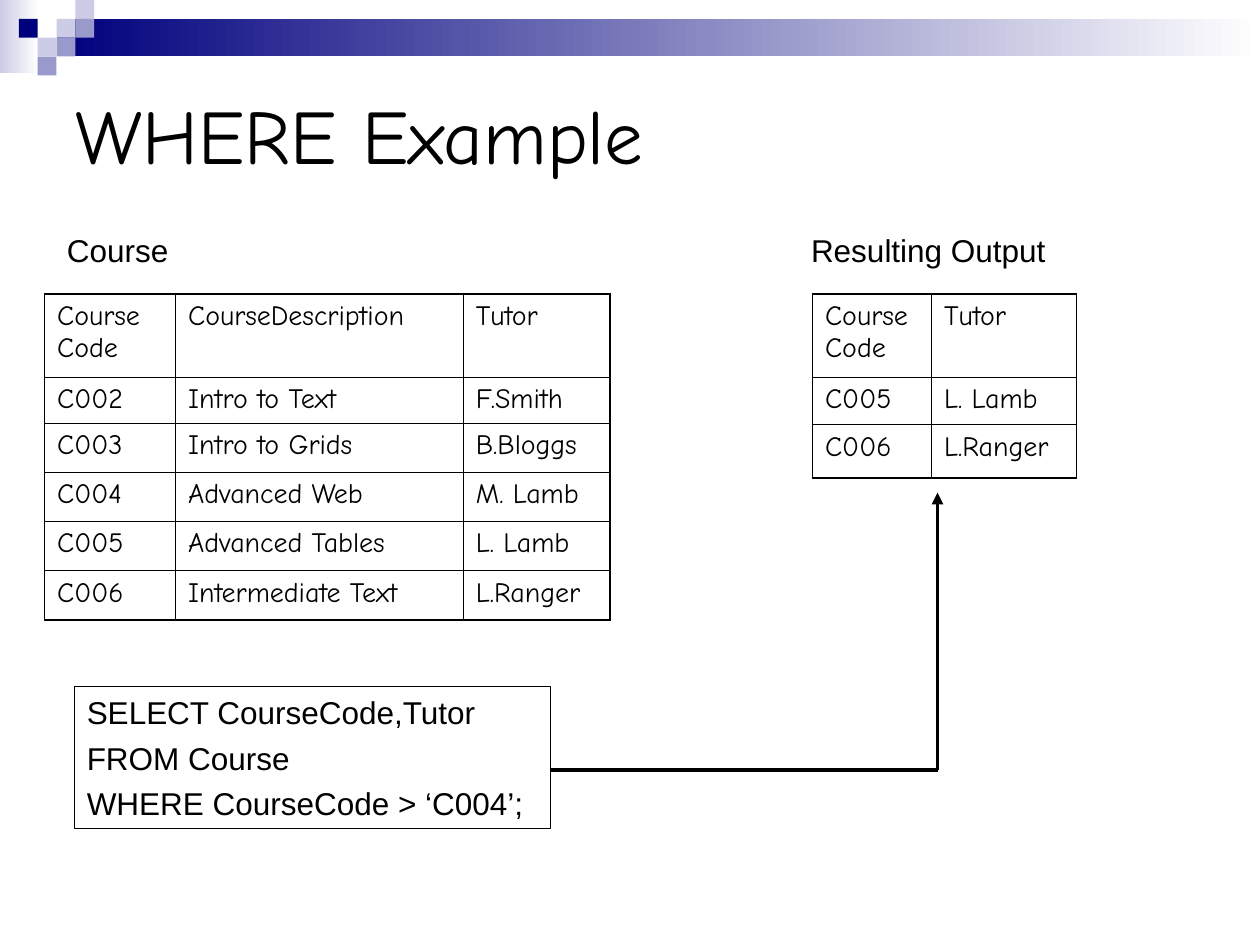
from lxml.etree import SubElement
from pptx import Presentation
from pptx.dml.color import RGBColor
from pptx.enum.shapes import MSO_CONNECTOR, MSO_SHAPE
from pptx.enum.text import MSO_ANCHOR, PP_ALIGN
from pptx.oxml import parse_xml
from pptx.oxml.ns import nsdecls, qn
from pptx.util import Cm, Pt

COLORS = {"ink": "000000", "navy": "00007D", "violet": "9999CC",
          "lilac": "CCCCE6", "white": "FFFFFF"}
HEADING_FONT = "Comic Neue"
BODY_FONT = "Arial"

TITLE = "WHERE Example"
LABELS = [("Course", 1.1), ("Resulting Output", 16.1)]
QUERY = ["SELECT CourseCode,Tutor", "FROM Course", "WHERE CourseCode > ‘C004’;"]
TABLES = [
    {"left": 0.9, "columns": [2.64, 5.8, 2.96],
     "heights": [1.68, 0.93, 0.99, 0.99, 0.99, 0.99],
     "rows": [("Course Code", "CourseDescription", "Tutor"),
              ("C002", "Intro to Text", "F.Smith"),
              ("C003", "Intro to Grids", "B.Bloggs"),
              ("C004", "Advanced Web", "M. Lamb"),
              ("C005", "Advanced Tables", "L. Lamb"),
              ("C006", "Intermediate Text", "L.Ranger")]},
    {"left": 16.38, "columns": [2.4, 2.92], "heights": [1.68, 0.96, 1.07],
     "rows": [("Course Code", "Tutor"), ("C005", "L. Lamb"), ("C006", "L.Ranger")]},
]
TABLE_TOP = 5.92

SQUARE = 0.38
BANDS = [("lilac", 0, 0, 0.79, 1.47), ("navy", 3 * SQUARE, SQUARE, 24.26, 2 * SQUARE)]
SQUARES = [("lilac", 3, 1), ("lilac", 4, 0), ("violet", 4, 1), ("lilac", 2, 2),
           ("navy", 1, 1), ("violet", 3, 2), ("violet", 2, 3)]

QUERY_BOX = (1.5, 13.84, 9.6, 2.87)
ARROW_POINTS = [(11.1, 15.52), (18.9, 15.52), (18.9, 9.93)]


def color(name):
    return RGBColor.from_string(COLORS[name])


def add_box(slide, left, top, width, height):
    shape = slide.shapes.add_shape(
        MSO_SHAPE.RECTANGLE, Cm(left), Cm(top), Cm(width), Cm(height))
    shape.shadow.inherit = False
    shape.line.fill.background()
    return shape


def write(text_frame, lines, font, size, space=0):
    text_frame.word_wrap = True
    for index, line in enumerate(lines):
        paragraph = text_frame.paragraphs[0] if index == 0 else text_frame.add_paragraph()
        paragraph.alignment = PP_ALIGN.LEFT
        if index:
            paragraph.space_before = Pt(space)
        run = paragraph.add_run()
        run.text = line
        run.font.name = font
        run.font.size = Pt(size)
        run.font.color.rgb = color("ink")


def add_decoration(slide):
    for name, *place in BANDS:
        fill = add_box(slide, *place).fill
        fill.gradient()
        fill.gradient_angle = 0
        for stop, stop_color in zip(fill.gradient_stops, (name, "white")):
            stop.color.rgb = color(stop_color)
    for name, column, row in SQUARES:
        fill = add_box(slide, column * SQUARE, row * SQUARE, SQUARE, SQUARE).fill
        fill.solid()
        fill.fore_color.rgb = color(name)


def set_borders(cell, outer_sides):
    properties = cell._tc.get_or_add_tcPr()
    for index, side in enumerate("LRTB"):
        width = Pt(1.08 if side in outer_sides else 0.45)
        properties.insert(index, parse_xml(
            f'<a:ln{side} {nsdecls("a")} w="{width}"><a:solidFill>'
            f'<a:srgbClr val="{COLORS["ink"]}"/></a:solidFill></a:ln{side}>'))


def add_table(slide, left, columns, heights, rows):
    table = slide.shapes.add_table(
        len(rows), len(columns), Cm(left), Cm(TABLE_TOP),
        Cm(sum(columns)), Cm(sum(heights))).table
    table.first_row = False
    table.horz_banding = False
    for column, width in zip(table.columns, columns):
        column.width = Cm(width)
    for row, height in zip(table.rows, heights):
        row.height = Cm(height)
    for y, values in enumerate(rows):
        for x, value in enumerate(values):
            cell = table.cell(y, x)
            cell.fill.background()
            write(cell.text_frame, [value], HEADING_FONT, 16)
            edges = {"L": x == 0, "R": x == len(columns) - 1,
                     "T": y == 0, "B": y == len(rows) - 1}
            set_borders(cell, [side for side, outer in edges.items() if outer])


def add_line(slide, start, end, arrow):
    connector = slide.shapes.add_connector(
        MSO_CONNECTOR.STRAIGHT, *(Cm(value) for value in start + end))
    connector.line.color.rgb = color("ink")
    connector.line.width = Pt(2.25)
    if arrow:
        SubElement(connector.line._get_or_add_ln(), qn("a:tailEnd"), type="triangle")
    SubElement(connector._element.spPr, qn("a:effectLst"))


def main():
    presentation = Presentation()
    presentation.slide_width = Cm(25.4)
    presentation.slide_height = Cm(19.05)
    slide = presentation.slides.add_slide(presentation.slide_layouts[5])
    add_decoration(slide)

    title = slide.shapes.title
    title.left, title.top, title.width, title.height = Cm(1.27), Cm(1.27), Cm(22.86), Cm(2.84)
    title.text_frame.vertical_anchor = MSO_ANCHOR.MIDDLE
    write(title.text_frame, [TITLE], HEADING_FONT, 44)

    for text, left in LABELS:
        label = slide.shapes.add_textbox(Cm(left), Cm(4.53), Cm(7.39), Cm(1.02))
        write(label.text_frame, [text], BODY_FONT, 18)

    for table in TABLES:
        add_table(slide, **table)

    query = add_box(slide, *QUERY_BOX)
    query.fill.background()
    query.line.color.rgb = color("ink")
    query.line.width = Pt(0.75)
    query.text_frame.vertical_anchor = MSO_ANCHOR.MIDDLE
    write(query.text_frame, QUERY, BODY_FONT, 18, space=4.5)

    for start, end in zip(ARROW_POINTS, ARROW_POINTS[1:]):
        add_line(slide, start, end, arrow=end == ARROW_POINTS[-1])

    presentation.save("out.pptx")


if __name__ == "__main__":
    main()
